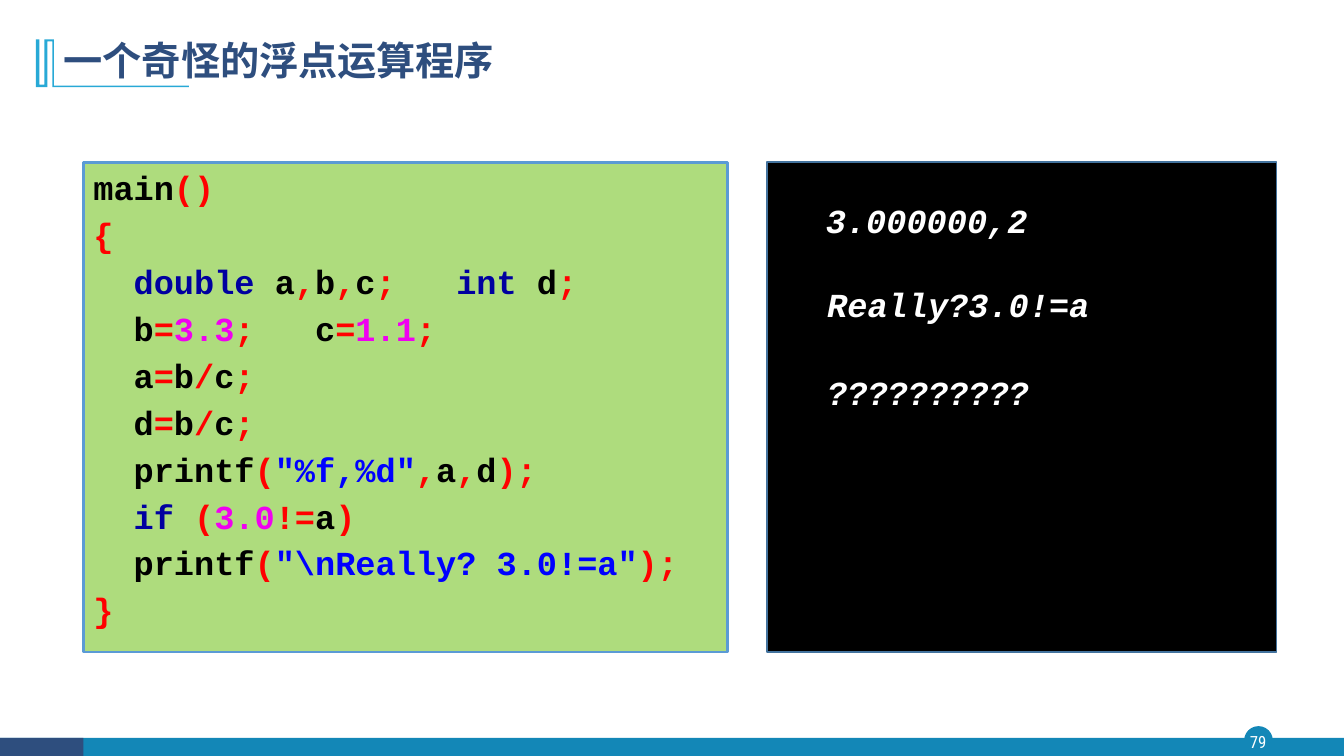
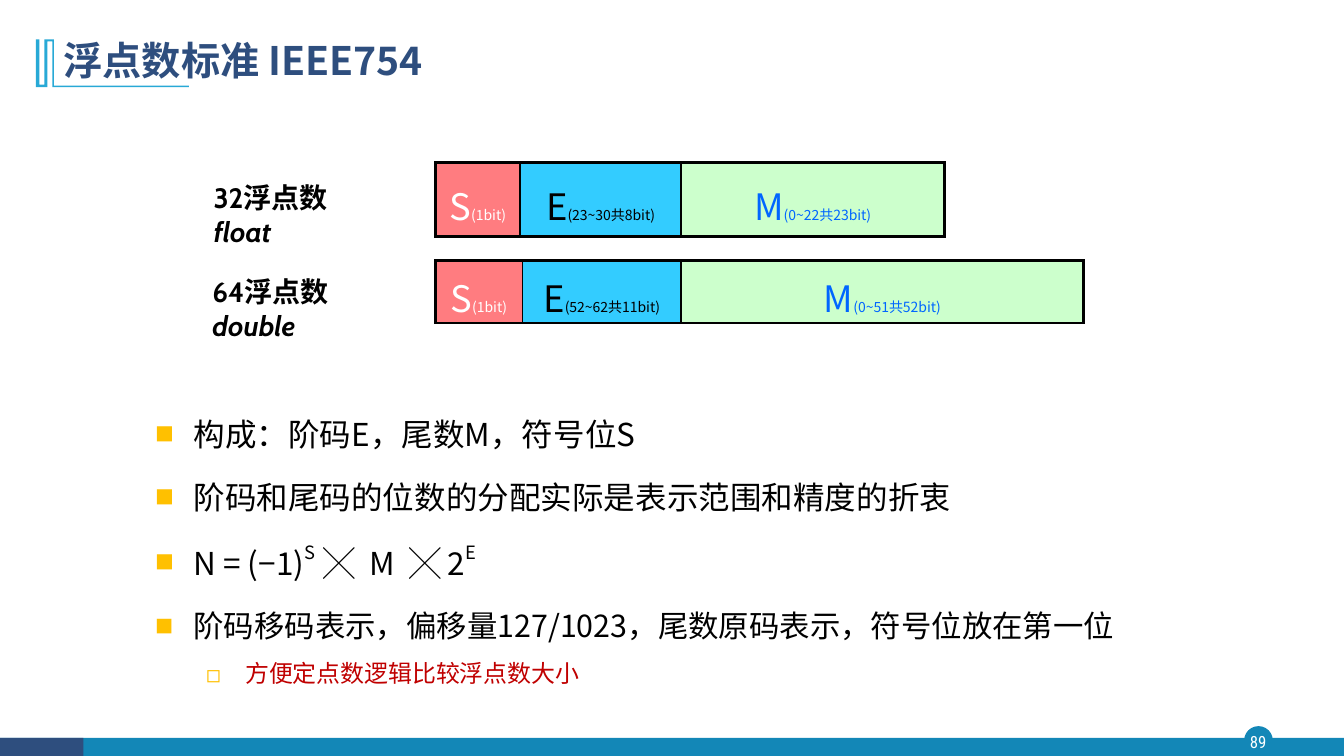
from dataclasses import dataclass

from lxml import etree
from pptx import Presentation
from pptx.dml.color import RGBColor
from pptx.enum.shapes import MSO_SHAPE
from pptx.enum.text import MSO_ANCHOR, MSO_AUTO_SIZE, PP_ALIGN
from pptx.oxml.ns import qn
from pptx.util import Pt

RECTANGLE, OVAL = MSO_SHAPE.RECTANGLE, MSO_SHAPE.OVAL
LEFT, CENTER, JUSTIFY = PP_ALIGN.LEFT, PP_ALIGN.CENTER, PP_ALIGN.JUSTIFY
TOP, MIDDLE = MSO_ANCHOR.TOP, MSO_ANCHOR.MIDDLE
NO_AUTOFIT = MSO_AUTO_SIZE.NONE

# Shared look
SANS, MONO, LABEL, NUMBER = "Noto Sans CJK SC", "Courier New", "Cabin", "Roboto Condensed"
BLACK, WHITE, RED = "000000", "FFFFFF", "FF0000"
NAVY, TEAL, SKY, AMBER, CRIMSON = "2E4E7E", "1387B7", "28A9D6", "FFC000", "C00000"
KEYWORD, LITERAL, STRING = "0000A0", "F000F0", "0000FF"
TITLE_LAYOUT, BODY_LAYOUT = 5, 1
TITLE_MARK = [
    (38.5, 28.1), (38.5, 61.2), (134.9, 61.2), (134.9, 62.2), (37.4, 62.2),
    (37.4, 29.5), (33.8, 29.5), (33.8, 62.2), (25.7, 62.2), (25.7, 28.1),
    (28.1, 28.1), (28.1, 60.5), (31.7, 60.5), (31.7, 28.1),
]


@dataclass
class Box:
    left: float
    top: float
    width: float
    height: float

    def lengths(self) -> tuple:
        return Pt(self.left), Pt(self.top), Pt(self.width), Pt(self.height)


@dataclass
class Style:
    size: float
    font: str = SANS
    color: str = BLACK
    bold: bool = False
    italic: bool = False
    baseline: int = 0


@dataclass
class Bullet:
    runs: list
    level: int = 0


@dataclass
class Field:
    letter: str
    bits: str
    width: float
    fill: str
    color: str


@dataclass
class FloatFormat:
    label: str
    keyword: str
    label_box: Box
    top: float
    height: float
    margin_top: float
    margin_bottom: float
    fields: list


def rgb(color: str) -> RGBColor:
    return RGBColor.from_string(color)


def add_run(paragraph, text: str, style: Style) -> None:
    run = paragraph.add_run()
    run.text = text
    font = run.font
    font.size, font.name = Pt(style.size), style.font
    font.bold, font.italic = style.bold, style.italic
    font.color.rgb = rgb(style.color)
    properties = run._r.get_or_add_rPr()
    if style.baseline:
        properties.set("baseline", str(style.baseline * 1000))
    east_asian = etree.SubElement(properties, qn("a:ea"))
    east_asian.set("typeface", MONO if style.font == MONO else SANS)


def prepare_frame(shape, anchor=TOP, inset: bool = True):
    frame = shape.text_frame
    frame.word_wrap, frame.auto_size = True, NO_AUTOFIT
    frame.vertical_anchor = anchor
    side, end = (7.2, 3.6) if inset else (0, 0)
    frame.margin_left = frame.margin_right = Pt(side)
    frame.margin_top = frame.margin_bottom = Pt(end)
    return frame


def add_text(slide, box: Box, runs: list, align=LEFT, anchor=TOP, inset: bool = True) -> None:
    frame = prepare_frame(slide.shapes.add_textbox(*box.lengths()), anchor, inset)
    paragraph = frame.paragraphs[0]
    paragraph.alignment = align
    for text, style in runs:
        add_run(paragraph, text, style)


def paint(shape, fill: str, line: str = "", line_width: float = 1) -> None:
    shape.shadow.inherit = False
    shape.fill.solid()
    shape.fill.fore_color.rgb = rgb(fill)
    if line:
        shape.line.color.rgb = rgb(line)
        shape.line.width = Pt(line_width)
    else:
        shape.line.fill.background()


def add_panel(slide, kind, box: Box, fill: str, line: str = "", line_width: float = 1):
    shape = slide.shapes.add_shape(kind, *box.lengths())
    paint(shape, fill, line, line_width)
    return shape


def place(shape, box: Box) -> None:
    shape.left, shape.top, shape.width, shape.height = box.lengths()


def start_slide(presentation, layout: int, title: str, number: int):
    """Add a slide with its title, footer band and page number."""
    slide = presentation.slides.add_slide(presentation.slide_layouts[layout])
    place(slide.shapes.title, Box(38.2, 20, 828, 49))
    paragraph = prepare_frame(slide.shapes.title, MIDDLE).paragraphs[0]
    paragraph.alignment, paragraph.line_spacing = LEFT, 0.9
    add_run(paragraph, title, Style(28, color=NAVY, bold=True))

    # Footer
    add_panel(slide, OVAL, Box(889.2, 519.2, 19.5, 19.5), TEAL, TEAL)
    add_panel(slide, RECTANGLE, Box(0, 527, 960, 13), TEAL)
    add_panel(slide, RECTANGLE, Box(0, 527, 59.5, 13), NAVY)
    add_text(slide, Box(887.2, 519, 23, 22), [(str(number), Style(12, NUMBER, WHITE))],
             CENTER, MIDDLE, inset=False)

    # Title mark
    points = [(Pt(x), Pt(y)) for x, y in TITLE_MARK]
    builder = slide.shapes.build_freeform(*points[0], scale=1.0)
    builder.add_line_segments(points[1:], close=True)
    paint(builder.convert_to_shape(), SKY)
    return slide


# Code slide: tokens are divided by "|"
CODE = [
    "main|()",
    "{",
    "  |double |a|,|b|,|c|;   |int |d|;",
    "  |b|=|3.3|;   |c|=|1.1|;",
    "  |a|=|b|/|c|;",
    "  |d|=|b|/|c|;",
    '  |printf|(|"%f,%d"|,|a|,|d|);',
    "  |if |(|3.0|!=|a|)",
    '  |printf|(|"\\nReally? 3.0!=a"|);',
    "}",
]
CONSOLE = [("3.000000,2", 582.8, 139.3), ("Really?3.0!=a", 583.8, 199.5), ("??????????", 583.8, 262)]


def token_color(token: str) -> str:
    if token.strip() in ("double", "int", "if"):
        return KEYWORD
    if token[0] == '"':
        return STRING
    if token[0].isdigit():
        return LITERAL
    return BLACK if token[0].isalpha() else RED


def build_code_slide(presentation) -> None:
    slide = start_slide(presentation, TITLE_LAYOUT, "一个奇怪的浮点运算程序", 79)

    # Program listing
    panel = add_panel(slide, RECTANGLE, Box(59.6, 115.8, 460, 350), "92D050", "5B9BD5", 2)
    color = panel.fill._xPr.find(qn("a:solidFill"))[0]
    etree.SubElement(color, qn("a:alpha")).set("val", "74000")
    frame = prepare_frame(panel)
    for index, line in enumerate(CODE):
        paragraph = frame.add_paragraph() if index else frame.paragraphs[0]
        paragraph.alignment = LEFT
        paragraph.space_before = Pt(4.7 if index else 0)
        for token in line.split("|"):
            add_run(paragraph, token, Style(24, MONO, token_color(token), bold=True))

    # Console output
    add_panel(slide, RECTANGLE, Box(548, 115.8, 364, 350), BLACK, "43739E")
    for text, left, top in CONSOLE:
        add_text(slide, Box(left, top, 243, 36),
                 [(text, Style(24, MONO, WHITE, bold=True, italic=True))])


# Standard slide
TABLE_LEFT = 311


def fields(exponent: str, mantissa: str, widths: tuple) -> list:
    return [
        Field("S", "(1bit)", widths[0], "FF7C80", WHITE),
        Field("E", exponent, widths[1], "33CCFF", BLACK),
        Field("M", mantissa, widths[2], "CCFFCC", "0066FF"),
    ]


FORMATS = [
    FloatFormat("32浮点数 ", "float", Box(145.5, 125.7, 130, 58), 116, 52.7, 11.5, 3.6,
                fields("(23~30共8bit)", "(0~22共23bit)", (60.5, 115, 188))),
    FloatFormat("64浮点数 ", "double", Box(144.7, 192.7, 130, 58), 186, 44.6, 7, 0,
                fields("(52~62共11bit)", "(0~51共52bit)", (62, 113.5, 287.5))),
]
BODY, SUPERSCRIPT = Style(22.5), Style(22.5, baseline=50)
CROSS = Style(22.5, bold=True)
BULLETS = [
    Bullet([("构成：阶码E，尾数M，符号位S", BODY)]),
    Bullet([("阶码和尾码的位数的分配实际是表示范围和精度的折衷", BODY)]),
    Bullet([("N = (−1)", BODY), ("S  ", SUPERSCRIPT), ("╳", CROSS), ("  M ", BODY),
            (" ╳ ", CROSS), ("2", BODY), ("E ", SUPERSCRIPT)]),
    Bullet([("阶码移码表示，偏移量127/1023，尾数原码表示，符号位放在第一位", Style(21.7))]),
    Bullet([("方便定点数逻辑比较浮点数大小", Style(17.1, color=CRIMSON))], 1),
]
# Per level: symbol, size in percent, left margin, hanging indent, space before
LEVELS = [("■", 60, 27, 27, 10), ("◻", 100, 64, 28, 5)]


def set_borders(cell, first: bool, last: bool) -> None:
    widths = {"lnL": 2.25 if first else 1, "lnR": 2.25 if last else 1, "lnT": 2.25, "lnB": 2.25}
    properties = cell._tc.get_or_add_tcPr()
    for position, (tag, width) in enumerate(widths.items()):
        line = etree.Element(qn(f"a:{tag}"), w=str(Pt(width)))
        fill = etree.SubElement(line, qn("a:solidFill"))
        etree.SubElement(fill, qn("a:srgbClr")).set("val", BLACK)
        properties.insert(position, line)


def add_format(slide, layout: FloatFormat) -> None:
    """Draw one row of bit fields with its label."""
    label = Style(20, LABEL, bold=True)
    keyword = Style(20, LABEL, bold=True, italic=True)
    add_text(slide, layout.label_box, [(layout.label, label), (layout.keyword, keyword)])

    count = len(layout.fields)
    box = Box(TABLE_LEFT, layout.top, sum(field.width for field in layout.fields), layout.height)
    table = slide.shapes.add_table(1, count, *box.lengths()).table
    table.first_row = table.horz_banding = False
    for index, field in enumerate(layout.fields):
        table.columns[index].width = Pt(field.width)
        cell = table.cell(0, index)
        cell.margin_top, cell.margin_bottom = Pt(layout.margin_top), Pt(layout.margin_bottom)
        cell.fill.solid()
        cell.fill.fore_color.rgb = rgb(field.fill)
        set_borders(cell, index == 0, index == count - 1)
        paragraph = cell.text_frame.paragraphs[0]
        paragraph.alignment = CENTER
        add_run(paragraph, field.letter, Style(26, color=field.color))
        add_run(paragraph, field.bits, Style(10, color=field.color))


def set_bullet(paragraph, level: int) -> None:
    symbol, percent, margin, hanging, _ = LEVELS[level]
    properties = paragraph._p.get_or_add_pPr()
    properties.set("marL", str(Pt(margin)))
    properties.set("indent", str(-Pt(hanging)))
    color = etree.SubElement(properties, qn("a:buClr"))
    etree.SubElement(color, qn("a:srgbClr")).set("val", AMBER)
    for tag, name, value in (("buSzPct", "val", str(percent * 1000)),
                             ("buFont", "typeface", SANS), ("buChar", "char", symbol)):
        etree.SubElement(properties, qn(f"a:{tag}")).set(name, value)


def build_standard_slide(presentation) -> None:
    slide = start_slide(presentation, BODY_LAYOUT, "浮点数标准 IEEE754", 89)
    for layout in FORMATS:
        add_format(slide, layout)

    # Bullet list
    body = slide.placeholders[1]
    place(body, Box(104, 284.5, 780, 219))
    frame = prepare_frame(body)
    for index, bullet in enumerate(BULLETS):
        paragraph = frame.add_paragraph() if index else frame.paragraphs[0]
        paragraph.level, paragraph.alignment = bullet.level, JUSTIFY
        set_bullet(paragraph, bullet.level)
        paragraph.line_spacing = 1.3
        paragraph.space_before = Pt(LEVELS[bullet.level][4] if index else 0)
        for text, style in bullet.runs:
            add_run(paragraph, text, style)


def main() -> None:
    presentation = Presentation()
    presentation.slide_width, presentation.slide_height = Pt(960), Pt(540)
    build_code_slide(presentation)
    build_standard_slide(presentation)
    presentation.save("out.pptx")


if __name__ == "__main__":
    main()
